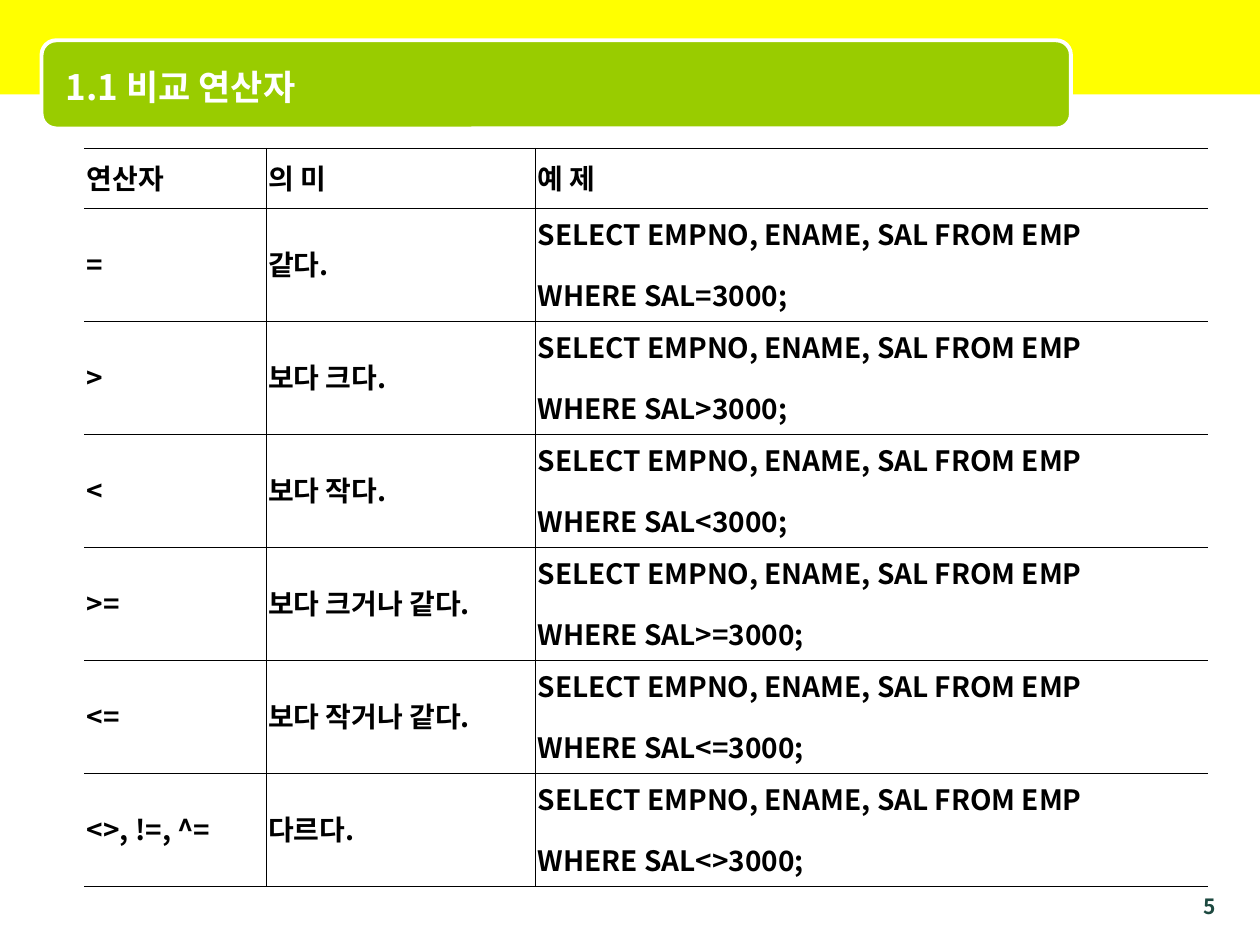
from lxml.etree import SubElement
from pptx import Presentation
from pptx.dml.color import RGBColor
from pptx.enum.shapes import MSO_SHAPE as Shape
from pptx.enum.text import MSO_ANCHOR as Anchor, PP_ALIGN as Align
from pptx.oxml import parse_xml
from pptx.oxml.ns import nsdecls, qn
from pptx.util import Inches, Pt

TITLE = "1.1 비교 연산자"
PAGE_NUMBER = "5"
HEADERS = ("연산자", "의 미", "예 제")
OPERATORS = [
    ("=", "같다.", "="),
    (">", "보다 크다.", ">"),
    ("<", "보다 작다.", "<"),
    (">=", "보다 크거나 같다.", ">="),
    ("<=", "보다 작거나 같다.", "<="),
    ("<>, !=, ^=", "다르다.", "<>"),
]
QUERY = "SELECT EMPNO, ENAME, SAL FROM EMP\nWHERE SAL{}3000;"

THEME = {
    "font": "Noto Sans CJK KR",
    "band": "FFFF00", "banner": "99CC00", "white": "FFFFFF",
    "ink": "000000", "number": "1D4940",
    "title_size": 20, "cell_size": 16, "number_size": 12,
    "banner_line": 2.25, "top_line": 0.96, "column_line": 0.28, "row_line": 0.11,
}
COLUMN_WIDTHS = (1.44, 2.14, 5.34)
HEADER_HEIGHT, ROW_HEIGHT = 0.47, 0.89
LINE_SPACING = (0.96, 1.53)


def color(name):
    return RGBColor.from_string(THEME[name])


def inches(*lengths):
    return [Inches(length) for length in lengths]


def set_values(target, values):
    for name, value in values.items():
        setattr(target, name, value)


def write(frame, text, role, ink, **para_format):
    for index, line in enumerate(text.split("\n")):
        para = frame.paragraphs[0] if index == 0 else frame.add_paragraph()
        set_values(para, para_format)
        if role == "cell":
            para.line_spacing = LINE_SPACING[index]
        span = para.add_run()
        span.text = line
        set_values(span.font, {"name": THEME["font"], "bold": True,
                               "size": Pt(THEME[f"{role}_size"])})
        span.font.color.rgb = color(ink)
        SubElement(span.font._element, qn("a:ea"), typeface=THEME["font"])


def add_block(page, kind, box, fill):
    block = page.shapes.add_shape(kind, *inches(*box))
    block.shadow.inherit = False
    block.fill.solid()
    block.fill.fore_color.rgb = color(fill)
    block.line.fill.background()
    return block


def set_borders(cell, widths):
    properties = cell._tc.get_or_add_tcPr()
    for index, (side, width) in enumerate(widths.items()):
        paint = f'<a:solidFill><a:srgbClr val="{THEME["ink"]}"/></a:solidFill>'
        properties.insert(index, parse_xml(
            f'<a:ln{side} {nsdecls("a")} w="{Pt(width)}">'
            f'{paint if width else "<a:noFill/>"}</a:ln{side}>'))


def add_operator_table(page):
    rows = [HEADERS] + [(sign, meaning, QUERY.format(test))
                        for sign, meaning, test in OPERATORS]
    heights = [HEADER_HEIGHT] + [ROW_HEIGHT] * len(OPERATORS)
    box = inches(0.67, 1.18, sum(COLUMN_WIDTHS), sum(heights))
    table = page.shapes.add_table(len(rows), len(HEADERS), *box).table
    set_values(table, {"first_row": False, "horz_banding": False})
    for column, width in zip(table.columns, COLUMN_WIDTHS):
        column.width = Inches(width)
    last = len(HEADERS) - 1
    for r, (texts, height) in enumerate(zip(rows, heights)):
        table.rows[r].height = Inches(height)
        for c, text in enumerate(texts):
            cell = table.cell(r, c)
            set_values(cell, {"margin_left": Inches(0.02), "margin_right": Inches(0.02),
                              "margin_top": Inches(0.05), "margin_bottom": Inches(0.05),
                              "vertical_anchor": Anchor.MIDDLE})
            cell.fill.solid()
            cell.fill.fore_color.rgb = color("white")
            set_borders(cell, {
                "L": THEME["column_line"] if c > 0 else 0,
                "R": THEME["column_line"] if c < last else 0,
                "T": THEME["row_line"] if r else THEME["top_line"],
                "B": THEME["row_line"],
            })
            write(cell.text_frame, text, "cell", "ink", alignment=Align.JUSTIFY)


def main():
    deck = Presentation()
    set_values(deck, {"slide_width": Inches(10), "slide_height": Inches(7.5)})
    page = deck.slides.add_slide(deck.slide_layouts[5])

    add_block(page, Shape.RECTANGLE, (0, 0, 10, 0.75), "band")
    banner = add_block(page, Shape.ROUNDED_RECTANGLE, (0.33, 0.32, 8.17, 0.7), "banner")
    banner.line.color.rgb = color("white")
    banner.line.width = Pt(THEME["banner_line"])

    number = page.shapes.add_textbox(*inches(9.25, 7.04, 0.5, 0.21)).text_frame
    number.word_wrap = True
    write(number, PAGE_NUMBER, "number", "number", alignment=Align.RIGHT)

    title = page.shapes.title
    title.element.getparent().append(title.element)
    left, top, width, height = inches(0.42, 0.33, 8.17, 0.71)
    set_values(title, {"left": left, "top": top, "width": width, "height": height})
    title.text_frame.vertical_anchor = Anchor.MIDDLE
    write(title.text_frame, TITLE, "title", "white", alignment=Align.LEFT)

    add_operator_table(page)
    deck.save("out.pptx")


if __name__ == "__main__":
    main()
